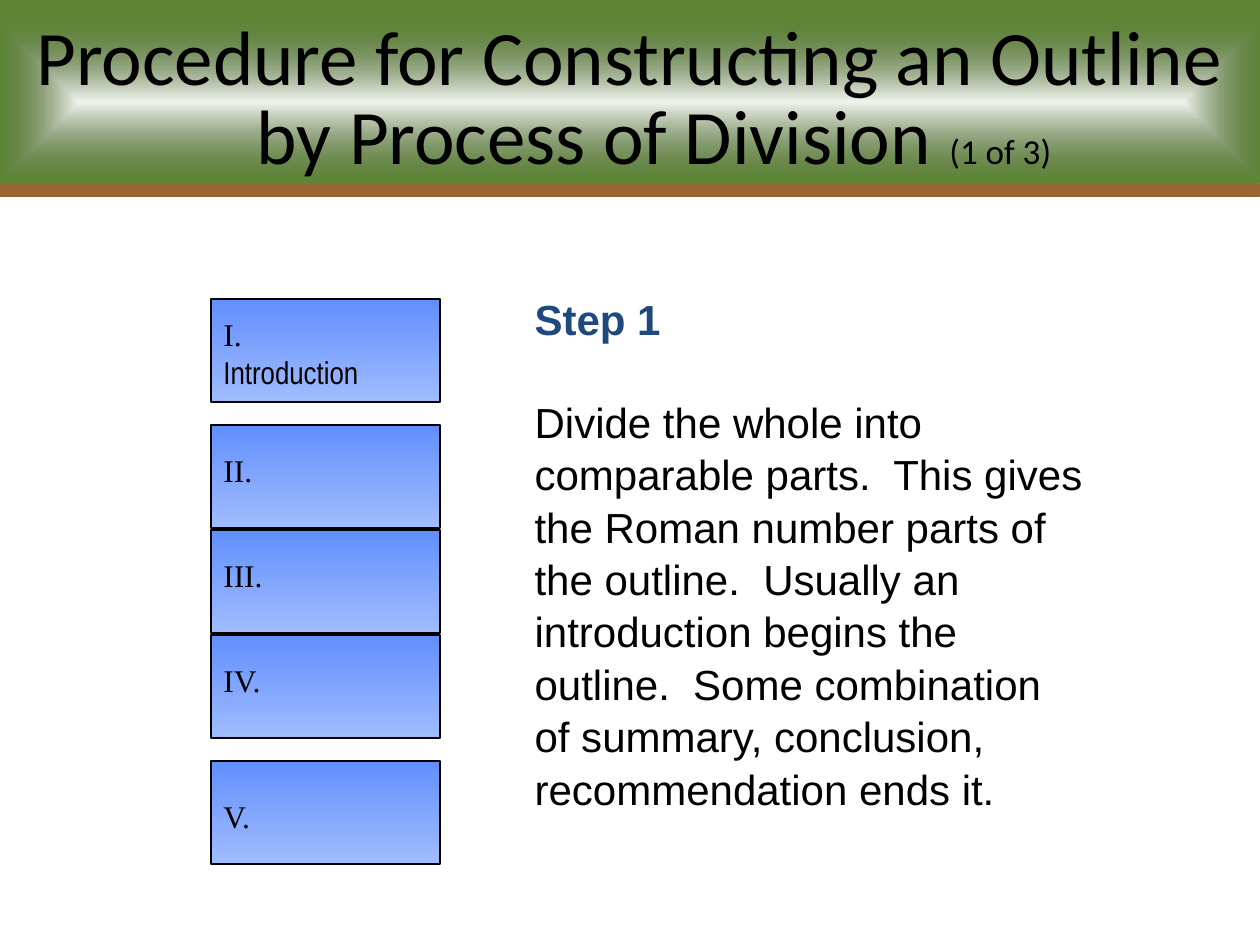
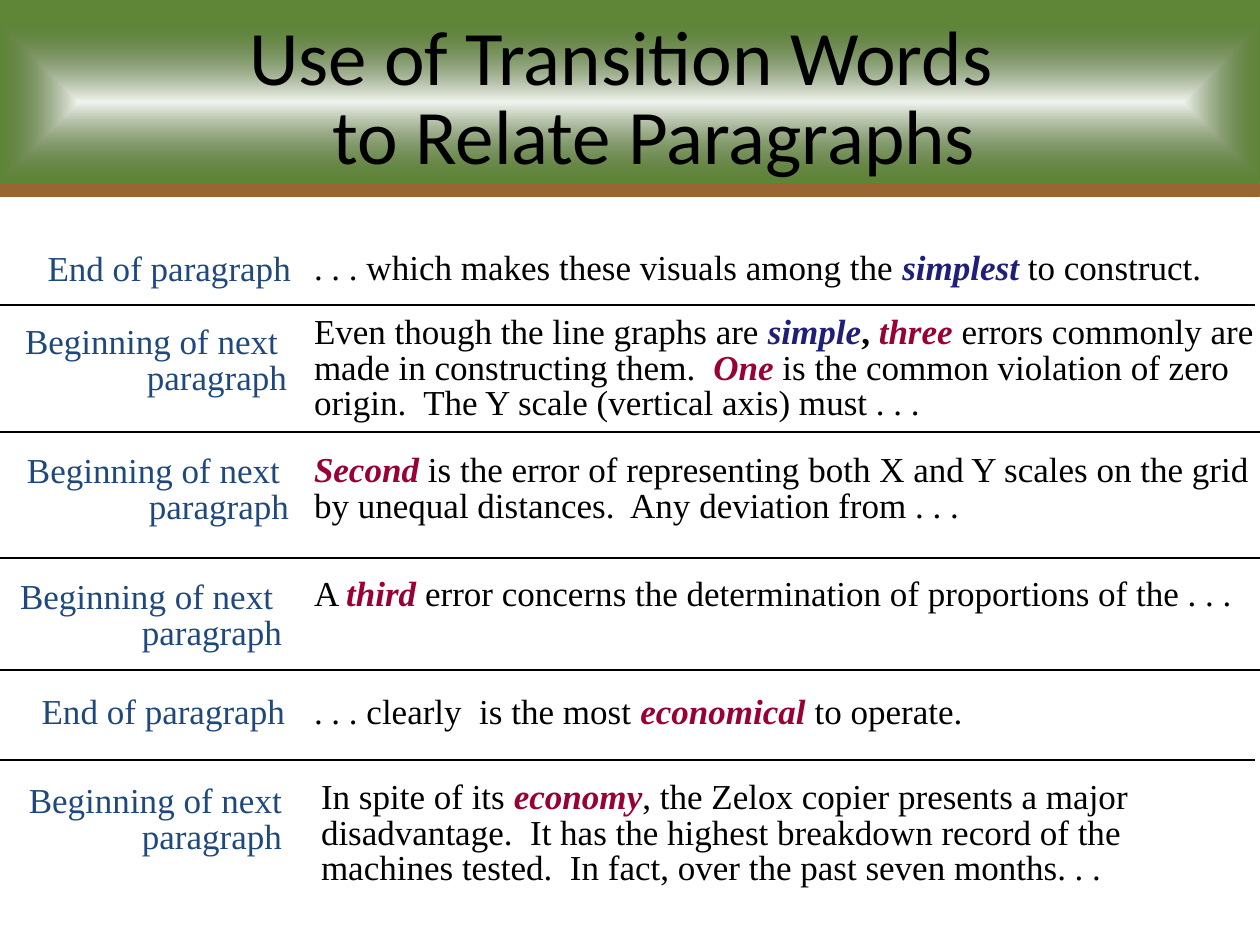
from lxml import etree
from pptx import Presentation
from pptx.dml.color import RGBColor
from pptx.enum.shapes import MSO_CONNECTOR, MSO_SHAPE
from pptx.enum.text import MSO_ANCHOR, MSO_AUTO_SIZE, PP_ALIGN
from pptx.oxml import parse_xml
from pptx.oxml.ns import nsdecls, qn
from pptx.util import Pt

RECT, STRAIGHT = MSO_SHAPE.RECTANGLE, MSO_CONNECTOR.STRAIGHT
MIDDLE = MSO_ANCHOR.MIDDLE
NO_FIT, GROW = MSO_AUTO_SIZE.NONE, MSO_AUTO_SIZE.SHAPE_TO_FIT_TEXT
LEFT, CENTER, RIGHT = PP_ALIGN.LEFT, PP_ALIGN.CENTER, PP_ALIGN.RIGHT

BLACK = RGBColor(0x00, 0x00, 0x00)
GREEN = RGBColor(0x33, 0x66, 0x00)
BROWN = RGBColor(0x99, 0x66, 0x33)
BLUE = RGBColor(0x1F, 0x49, 0x7D)
NAVY = RGBColor(0x1F, 0x1F, 0x7B)
CRIMSON = RGBColor(0x99, 0x00, 0x33)

SERIF = "Times New Roman"
PX = 914400 / 126
WIDTH, HEIGHT = 1260, 945

# Run styles
SMALL = dict(size=Pt(20))
NARROW = dict(name="Arial Narrow")
BOLD = dict(bold=True)
TERM = dict(bold=True, italic=True, color=NAVY)
SIGNAL = dict(bold=True, italic=True, color=CRIMSON)

# Texts are lists of (text, run style); "\n" is a line break
OUTLINE_TITLE = [("Procedure for Constructing an Outline by Process of Division ", {}),
                 ("(1 of 3)", SMALL)]
STEP = "Step 1"
STEP_TEXT = ("Divide the whole into comparable parts.  This gives the Roman number "
             "parts of the outline.  Usually an introduction begins the outline.  "
             "Some combination of summary, conclusion, recommendation ends it.")
# box top, label offset, label width, label
PARTS = [
    (299, 10, 210, [("I.\n", {}), ("Introduction", NARROW)]),
    (425, 20, 168, [("II.", {})]),
    (530, 20, 179, [("III.", {})]),
    (635, 20, 168, [("IV.", {})]),
    (761, 30, 158, [("V.", {})]),
]

TRANSITION_TITLE = [("Use of Transition Words \nto Relate Paragraphs", {})]
END = "End of paragraph"
NEXT = "Beginning of next \nparagraph"
# label, label right edge, label top, passage (left, top, width), passage
PASSAGES = [
    (END, 291, 253, (314, 252, 941),
     [(". . . which makes these visuals among the ", {}), ("simplest", TERM),
      (" to construct.", {})]),
    (NEXT, 287, 326, (314, 316, 941),
     [("Even though the line graphs are ", {}), ("simple", TERM), (", ", BOLD),
      ("three", SIGNAL), (" errors commonly are made in constructing them.  ", {}),
      ("One", SIGNAL),
      (" is the common violation of zero origin.  The Y scale (vertical axis) must . . .", {})]),
    (NEXT, 289, 455, (314, 454, 941),
     [("Second", SIGNAL),
      (" is the error of representing both X and Y scales on the grid by unequal "
       "distances.  Any deviation from . . .", {})]),
    (NEXT, 282, 581, (314, 578, 941),
     [("A ", {}), ("third", SIGNAL),
      (" error concerns the determination of proportions of the . . .", {})]),
    (END, 285, 696, (314, 696, 925),
     [(". . . clearly  is the most ", {}), ("economical", SIGNAL), (" to operate.", {})]),
    ("Beginning of next\nparagraph", 282, 785, (321, 781, 902),
     [("In spite of its ", {}), ("economy", SIGNAL),
      (", the Zelox copier presents a major disadvantage.  It has the highest breakdown "
       "record of the machines tested.  In fact, over the past seven months. . .", {})]),
]
# y, right end
RULES = [(305, 1255), (432, WIDTH), (558, WIDTH), (670, WIDTH), (760, 1255)]


def px(*lengths):
    return [round(n * PX) for n in lengths]


def place(sp, *box):
    sp.left, sp.top, sp.width, sp.height = px(*box)


def set_font(font, size=None, name=None, color=None, bold=None, italic=None):
    if size:
        font.size = size
    if name:
        font.name = name
    if color is not None:
        font.color.rgb = color
    if bold is not None:
        font.bold = bold
    if italic is not None:
        font.italic = italic


def write(p, runs, **font):
    set_font(p.font, **font)
    for text, style in runs:
        for i, line in enumerate(text.split("\n")):
            if i:
                p.add_line_break()
            if line:
                r = p.add_run()
                r.text = line
                set_font(r.font, **style)


def set_gradient(sp, stops, direction):
    """Fill with (position %, hex colour, opacity %) stops; direction is XML."""
    sp.fill.gradient()
    old = sp.fill._xPr.find(qn("a:gradFill"))
    gs = "".join(f'<a:gs pos="{pos * 1000}"><a:srgbClr val="{color}">'
                 f'<a:alpha val="{opacity * 1000}"/></a:srgbClr></a:gs>'
                 for pos, color, opacity in stops)
    new = parse_xml(f'<a:gradFill {nsdecls("a")} rotWithShape="1">'
                    f'<a:gsLst>{gs}</a:gsLst>{direction}</a:gradFill>')
    old.getparent().replace(old, new)


def add_rect(slide, *box):
    sp = slide.shapes.add_shape(RECT, *px(*box))
    sp.shadow.inherit = False
    return sp


def add_text(slide, box, runs, align=LEFT, inset=True, spacing=None):
    sp = slide.shapes.add_textbox(*px(*box))
    tf = sp.text_frame
    tf.word_wrap = True
    tf.auto_size = GROW
    if not inset:
        tf.margin_left = tf.margin_top = tf.margin_right = tf.margin_bottom = 0
    p = tf.paragraphs[0]
    p.alignment = align
    if spacing:
        p.line_spacing = spacing
    size = Pt(18) if inset else Pt(20)
    write(p, runs, size=size, name=SERIF, color=BLACK)
    return p


def add_bands(prs, slide):
    """Draw the two header bands and move them to the back of the master."""
    stripe = add_rect(slide, -1, 185, WIDTH, 10)
    stripe.fill.solid()
    stripe.fill.fore_color.rgb = BROWN
    stripe.line.color.rgb = BROWN
    stripe.line.width = Pt(2)
    header = add_rect(slide, 0, 0, WIDTH, 183)
    header.fill.solid()
    header.fill.fore_color.rgb = GREEN
    header.line.fill.background()
    color = header.fill._xPr.find(qn("a:solidFill"))[0]
    etree.SubElement(color, qn("a:alpha")).set("val", "79000")
    for i, band in enumerate((stripe, header)):
        prs.slide_master.shapes.element.insert(2 + i, band._element)


def set_title(slide, runs):
    sp = slide.shapes.title
    place(sp, 0, 23, WIDTH, 157)
    set_gradient(sp, [(0, "FFFFFF", 92), (100, "767676", 0)],
                 '<a:path path="rect"><a:fillToRect l="50000" t="50000" '
                 'r="50000" b="50000"/></a:path>')
    tf = sp.text_frame
    tf.auto_size = NO_FIT
    tf.vertical_anchor = MIDDLE
    p = tf.paragraphs[0]
    p.alignment = CENTER
    p.line_spacing = 0.85
    set_indent(p, 48, -48)
    write(p, runs, size=Pt(44), name="Calibri", color=BLACK)


def set_indent(p, left, first):
    pPr = p._p.get_or_add_pPr()
    for key, value in zip(("marL", "indent"), px(left, first)):
        pPr.set(key, str(value))


def build_outline(slide):
    set_title(slide, OUTLINE_TITLE)
    body = slide.placeholders[1]
    place(body, 522, 285, 578, 534)
    tf = body.text_frame
    tf.auto_size = NO_FIT
    for p, text, color, bold, gap in (
            (tf.paragraphs[0], STEP, BLUE, True, 0),
            (tf.add_paragraph(), STEP_TEXT, BLACK, False, 29)):
        set_indent(p, 0, 0)
        p.line_spacing = 1.04
        p.space_before = Pt(gap)
        etree.SubElement(p._p.get_or_add_pPr(), qn("a:buNone"))
        write(p, [(text, {})], size=Pt(24), name="Arial", color=color, bold=bold)

    for top, offset, width, label in PARTS:
        box = add_rect(slide, 211, top, 229, 103)
        set_gradient(box, [(0, "618FFD", 100), (100, "A0BCFE", 100)],
                     '<a:lin ang="5400000" scaled="0"/>')
        box.line.color.rgb = BLACK
        box.line.width = Pt(1)
        add_text(slide, (211, top + offset, width, 50 * len(label)), label)


def build_transitions(slide):
    set_title(slide, TRANSITION_TITLE)
    for label, right, label_top, (left, top, width), passage in PASSAGES:
        p = add_text(slide, (0, label_top, right, 36 * len(label.split("\n"))),
                     [(label, {})], RIGHT, inset=False, spacing=0.85)
        p.font.color.rgb = BLUE
        add_text(slide, (left, top, width, 36), passage, inset=False, spacing=0.85)
    for y, right in RULES:
        line = slide.shapes.add_connector(STRAIGHT, *px(0, y, right, y))
        line.line.color.rgb = BLACK
        line.line.width = Pt(1)
        etree.SubElement(line._element.spPr, qn("a:effectLst"))


def main():
    prs = Presentation()
    prs.slide_width, prs.slide_height = px(WIDTH, HEIGHT)
    outline = prs.slides.add_slide(prs.slide_layouts[1])
    add_bands(prs, outline)
    build_outline(outline)
    build_transitions(prs.slides.add_slide(prs.slide_layouts[5]))
    prs.save("out.pptx")


if __name__ == "__main__":
    main()
